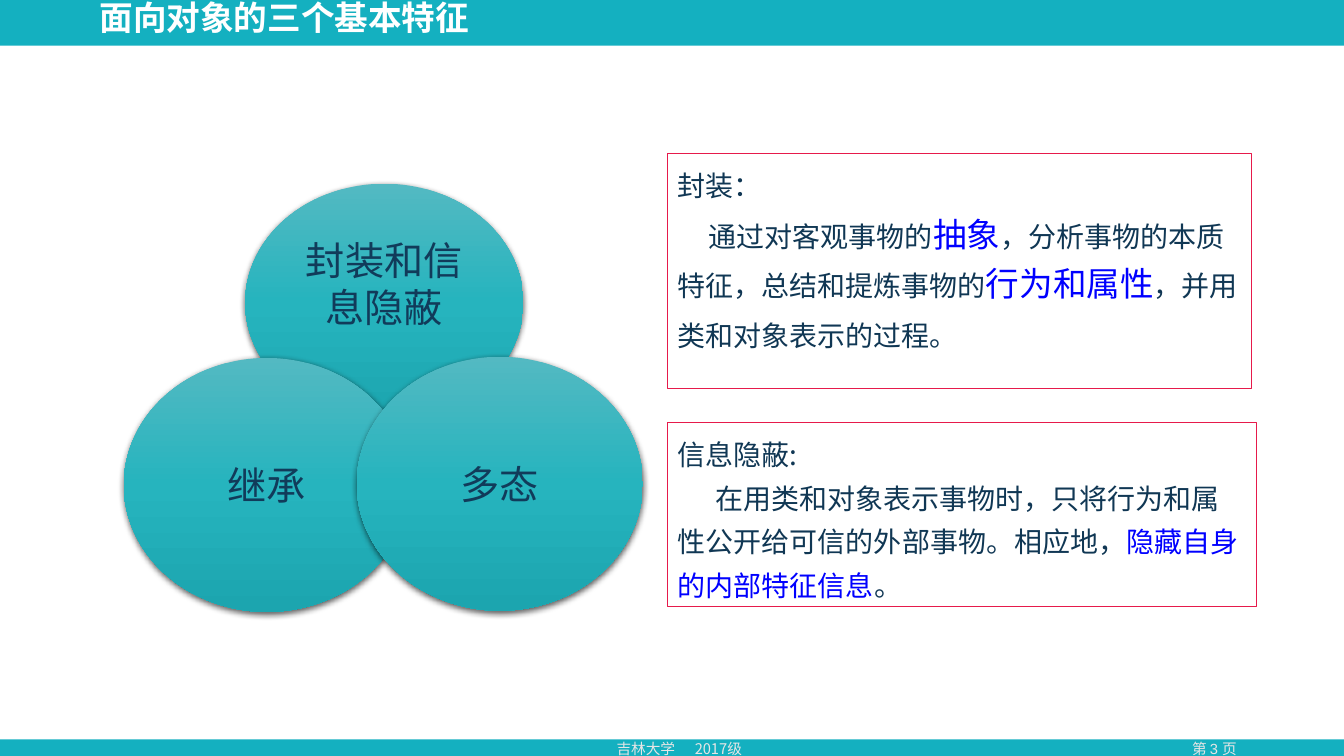
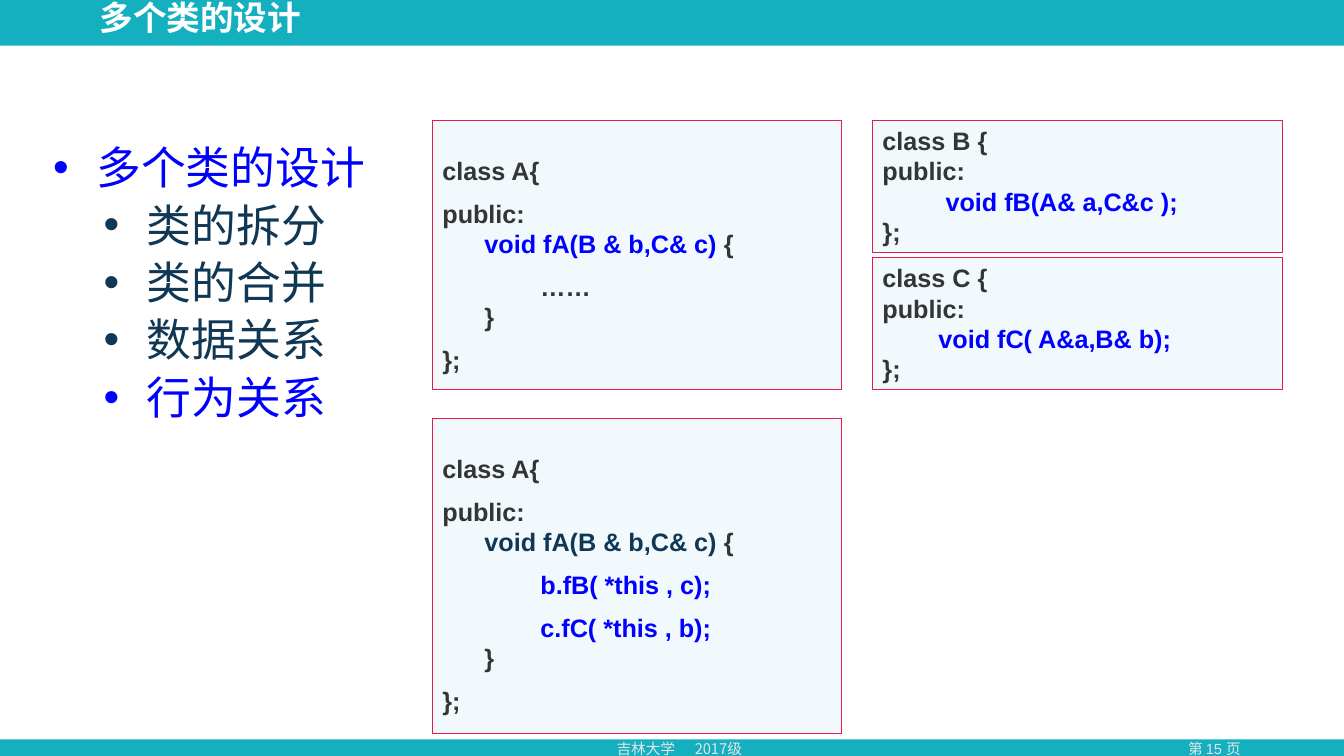
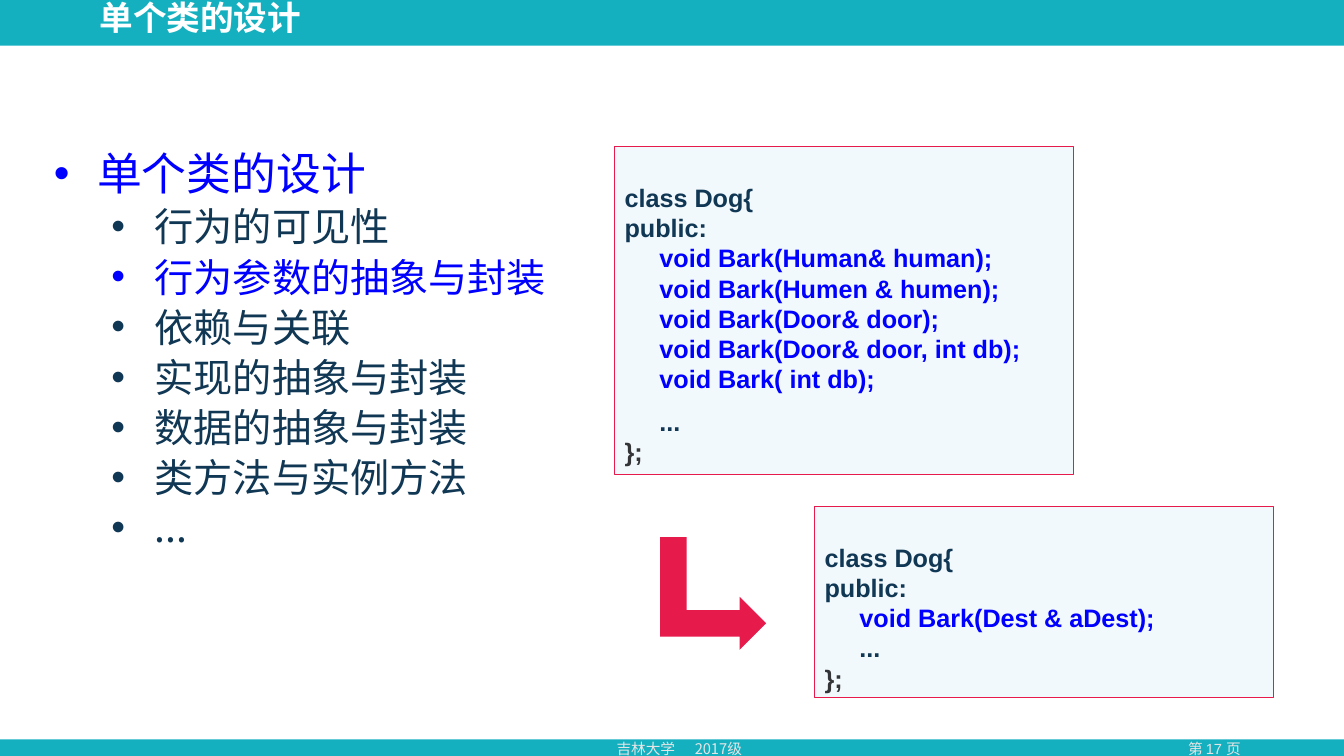
from pptx import Presentation
from pptx.dml.color import RGBColor
from pptx.enum import shapes, text
from pptx.oxml import parse_xml
from pptx.oxml.ns import nsdecls
from pptx.util import Cm, Pt

TEAL = RGBColor(0x14, 0xB0, 0xC0)
RED = RGBColor(0xE6, 0x1A, 0x4B)
BLUE = RGBColor(0x00, 0x00, 0xFF)
NAVY = RGBColor(0x10, 0x37, 0x54)
VENN_TEXT = RGBColor(0x11, 0x3B, 0x5A)
CODE_TEXT = RGBColor(0x34, 0x35, 0x37)
CODE_FILL = RGBColor(0xF2, 0xF9, 0xFD)
PALE = RGBColor(0xE7, 0xE6, 0xE6)
WHITE = RGBColor(0xFF, 0xFF, 0xFF)
VENN_STOPS = [(0, "53B9C2"), (50, "26B4BE"), (100, "1CA5AF")]

CJK, LATIN = "Noto Sans CJK SC", "Arial"
WIDTH, HEIGHT = 33.87, 19.05
LINE = 1.2  # line height in ems
RECT = shapes.MSO_SHAPE.RECTANGLE
INSETS = dict(margin_left=Cm(0.25), margin_right=Cm(0.25),
              margin_top=Cm(0.13), margin_bottom=Cm(0.13))
CENTER = text.PP_ALIGN.CENTER


def apply(target, values):
    for key, value in values.items():
        setattr(target, key, value)


def add_box(slide, box, kind=RECT, fill=None, line=None):
    shape = slide.shapes.add_shape(kind, *map(Cm, box))
    shape.shadow.inherit = False
    if fill is None:
        shape.fill.background()
    else:
        shape.fill.solid()
        shape.fill.fore_color.rgb = fill
    if line is None:
        shape.line.fill.background()
    else:
        shape.line.color.rgb = line
        shape.line.width = Pt(0.75)
    return shape


def set_frame(shape, anchor=text.MSO_ANCHOR.TOP, **values):
    frame = shape.text_frame
    apply(frame, {"word_wrap": True, "vertical_anchor": anchor, **INSETS, **values})
    return frame


def add_text_box(slide, box, **values):
    return set_frame(slide.shapes.add_textbox(*map(Cm, box)), **values)


def add_paragraph(frame, runs, size, font=CJK, bold=False, left=0, first=0, **values):
    """Write (text, colour[, size]) runs into the next paragraph; indents in cm."""
    started = len(frame.paragraphs) > 1 or frame.paragraphs[0].runs
    paragraph = frame.add_paragraph() if started else frame.paragraphs[0]
    apply(paragraph, {"alignment": text.PP_ALIGN.LEFT,
                      "line_spacing": Pt(size * LINE), **values})
    properties = paragraph._p.get_or_add_pPr()
    properties.set("marL", str(Cm(left)))
    properties.set("indent", str(Cm(first)))
    for words, color, *own_size in runs:
        run = paragraph.add_run()
        run.text = words
        apply(run.font, dict(name=font, bold=bold, size=Pt(own_size[0] if own_size else size)))
        run.font.color.rgb = color
        run._r.get_or_add_rPr().append(
            parse_xml(f'<a:ea {nsdecls("a")} typeface="{CJK}"/>'))
    return paragraph


def add_framed_slide(deck, title, page):
    """Add a slide with its bands, title and footer."""
    slide = deck.slides.add_slide(deck.slide_layouts[6])
    add_box(slide, (0, 0, WIDTH, HEIGHT), fill=TEAL)
    add_box(slide, (0, 1.15, WIDTH, 17.48), fill=WHITE)
    heading = add_text_box(slide, (2.26, 0.08, 19.51, 0.99), anchor=text.MSO_ANCHOR.BOTTOM)
    add_paragraph(heading, [(title, WHITE)], 24, bold=True, line_spacing=Pt(25.9))

    number = add_text_box(slide, (28.75, 18.52, 3.71, 0.71))
    add_paragraph(number, [(f"第 {page} 页", PALE)], 10.5, LATIN, alignment=CENTER)

    school = add_text_box(slide, (15.29, 18.52, 4.67, 0.71))
    line = add_paragraph(school, [("吉林大学", PALE), (" ", PALE), ("2017级", PALE)], 10.5)
    line.runs[1]._r.get_or_add_rPr().set("spc", "1180")  # widens the gap
    return slide


def add_venn_circle(slide, box, label, bottom=0.13):
    circle = add_box(slide, box, shapes.MSO_SHAPE.OVAL)
    properties = circle._element.spPr
    for part in properties.xpath("a:noFill | a:effectLst"):
        properties.remove(part)
    stops = "".join(f'<a:gs pos="{at * 1000}"><a:srgbClr val="{color}"/></a:gs>'
                    for at, color in VENN_STOPS)
    properties.insert_element_before(parse_xml(
        f'<a:gradFill {nsdecls("a")} rotWithShape="1"><a:gsLst>{stops}</a:gsLst>'
        '<a:lin ang="5400000" scaled="0"/></a:gradFill>'), "a:ln")
    properties.append(parse_xml(
        f'<a:effectLst {nsdecls("a")}><a:outerShdw blurRad="{Pt(4.5)}" dist="{Pt(1.5)}" '
        'dir="5400000" rotWithShape="0"><a:srgbClr val="000000">'
        '<a:alpha val="63000"/></a:srgbClr></a:outerShdw></a:effectLst>'))
    frame = set_frame(circle, text.MSO_ANCHOR.MIDDLE, margin_bottom=Cm(bottom))
    add_paragraph(frame, [(label, VENN_TEXT)], 28, alignment=CENTER)


def add_definition(slide, box, term, runs, first, spacing, gap=0):
    frame = set_frame(add_box(slide, box, line=RED))
    add_paragraph(frame, [(term, NAVY)], 20, line_spacing=Pt(31.2))
    add_paragraph(frame, runs, 20, first=first, line_spacing=Pt(spacing),
                  space_before=Pt(gap))


def add_outline(slide, box, topic, points, current, left, size):
    """Bulleted topic with its points; the current point is blue."""
    frame = add_text_box(slide, box)
    rows = [(topic, BLUE, 1.09, 32)]
    rows += [(point, BLUE if point == current else NAVY, left, size) for point in points]
    for words, color, indent, points_high in rows:
        row = add_paragraph(frame, [(words, color)], points_high, left=indent, first=-1.09,
                            line_spacing=Pt(round(points_high * LINE * 0.9, 1)),
                            space_before=Pt(points_high * 0.2))
        properties = row._p.get_or_add_pPr()
        properties.append(parse_xml(f'<a:buFont {nsdecls("a")} typeface="{LATIN}"/>'))
        properties.append(parse_xml(f'<a:buChar {nsdecls("a")} char="•"/>'))


def add_code(slide, box, lines, top=0.89):
    """Code panel; each line is (indent in cm, gap above in points, *runs)."""
    panel = add_box(slide, box, fill=CODE_FILL, line=RED)
    frame = set_frame(panel, margin_top=Cm(top))
    for indent, gap, *runs in lines:
        add_paragraph(frame, runs, 18, LATIN, True, left=indent, space_before=Pt(gap))


def class_a(signature_color, *body):
    return [(0, 0, ("class A{", CODE_TEXT)),
            (0, 9, ("public:", CODE_TEXT)),
            (1.06, 0, ("void fA(B & b,C& c) ", signature_color), ("{", CODE_TEXT)),
            *[(2.47, 9, statement) for statement in body],
            (1.06, 0, ("}", CODE_TEXT)),
            (0, 9, ("};", CODE_TEXT))]


def class_dog(gap, *methods):
    return [(0, 0, ("class Dog{", NAVY)),
            (0, 0, ("public:", NAVY)),
            *[(0.88, 0, (f"void Bark({method});", BLUE)) for method in methods],
            (0.88, gap, ("...", NAVY)),
            (0, 0, ("};", CODE_TEXT))]


def build_features(deck):
    slide = add_framed_slide(deck, "面向对象的三个基本特征", 3)
    add_venn_circle(slide, (6.18, 4.63, 7.01, 5.99), "封装和信息隐蔽", bottom=1.1)
    add_venn_circle(slide, (3.12, 9.02, 7.21, 6.4), "继承")
    add_venn_circle(slide, (8.99, 8.99, 7.21, 6.4), "多态")
    add_definition(slide, (16.82, 3.87, 14.73, 5.92), "封装：", [
        ("通过对客观事物的", NAVY), ("抽象", BLUE, 24),
        ("，分析事物的本质特征，总结和提炼事物的", NAVY), ("行为和属性", BLUE, 24),
        ("，并用类和对象表示的过程。", NAVY)], first=0.79, spacing=35.2, gap=1.5)
    add_definition(slide, (16.83, 10.64, 14.83, 4.65), "信息隐蔽:", [
        ("在用类和对象表示事物时，只将行为和属性公开给可信的外部事物。相应地，", NAVY),
        ("隐藏自身的内部特征信息", BLUE), ("。", NAVY)], first=0.94, spacing=31.2)


def build_several_classes(deck):
    slide = add_framed_slide(deck, "多个类的设计", 15)
    add_outline(slide, (1.09, 3.53, 9.55, 9.37), "多个类的设计",
                ["类的拆分", "类的合并", "数据关系", "行为关系"], "行为关系", 2.36, 32)
    add_code(slide, (10.9, 3.03, 10.31, 6.79), class_a(BLUE, ("……", CODE_TEXT)))
    for top, name, indent, method in ((3.03, "B", 1.59, "void fB(A& a,C&c );"),
                                      (6.49, "C", 1.41, "void fC( A&a,B& b);")):
        add_code(slide, (21.99, top, 10.34, 3.33), [
            (0, 0, (f"class {name} {{", CODE_TEXT)),
            (0, 0, ("public:", CODE_TEXT)),
            (indent, 0, (method, BLUE)),
            (0, 0, ("};", CODE_TEXT))], top=0.13)
    add_code(slide, (10.9, 10.54, 10.31, 7.95),
             class_a(NAVY, ("b.fB( *this , c);", BLUE), ("c.fC( *this , b);", BLUE)))


def build_single_class(deck):
    slide = add_framed_slide(deck, "单个类的设计", 17)
    add_code(slide, (15.49, 3.7, 11.56, 8.26),
             class_dog(9, "Human& human", "Humen & humen", "Door& door",
                       "Door& door, int db", " int db"))
    add_outline(slide, (1.11, 3.68, 13.67, 13.61), "单个类的设计",
                ["行为的可见性", "行为参数的抽象与封装", "依赖与关联", "实现的抽象与封装",
                 "数据的抽象与封装", "类方法与实例方法", "..."],
                "行为参数的抽象与封装", 2.54, 28)
    add_code(slide, (20.53, 12.77, 11.56, 4.82), class_dog(0, "Dest & aDest"))
    arrow = add_box(slide, (16.55, 13.62, 2.84, 2.67),
                    shapes.MSO_SHAPE.BENT_UP_ARROW, fill=RED)
    arrow.rotation = 90


def main():
    deck = Presentation()
    deck.slide_width, deck.slide_height = Cm(WIDTH), Cm(HEIGHT)
    for build in (build_features, build_several_classes, build_single_class):
        build(deck)
    deck.save("out.pptx")


if __name__ == "__main__":
    main()
